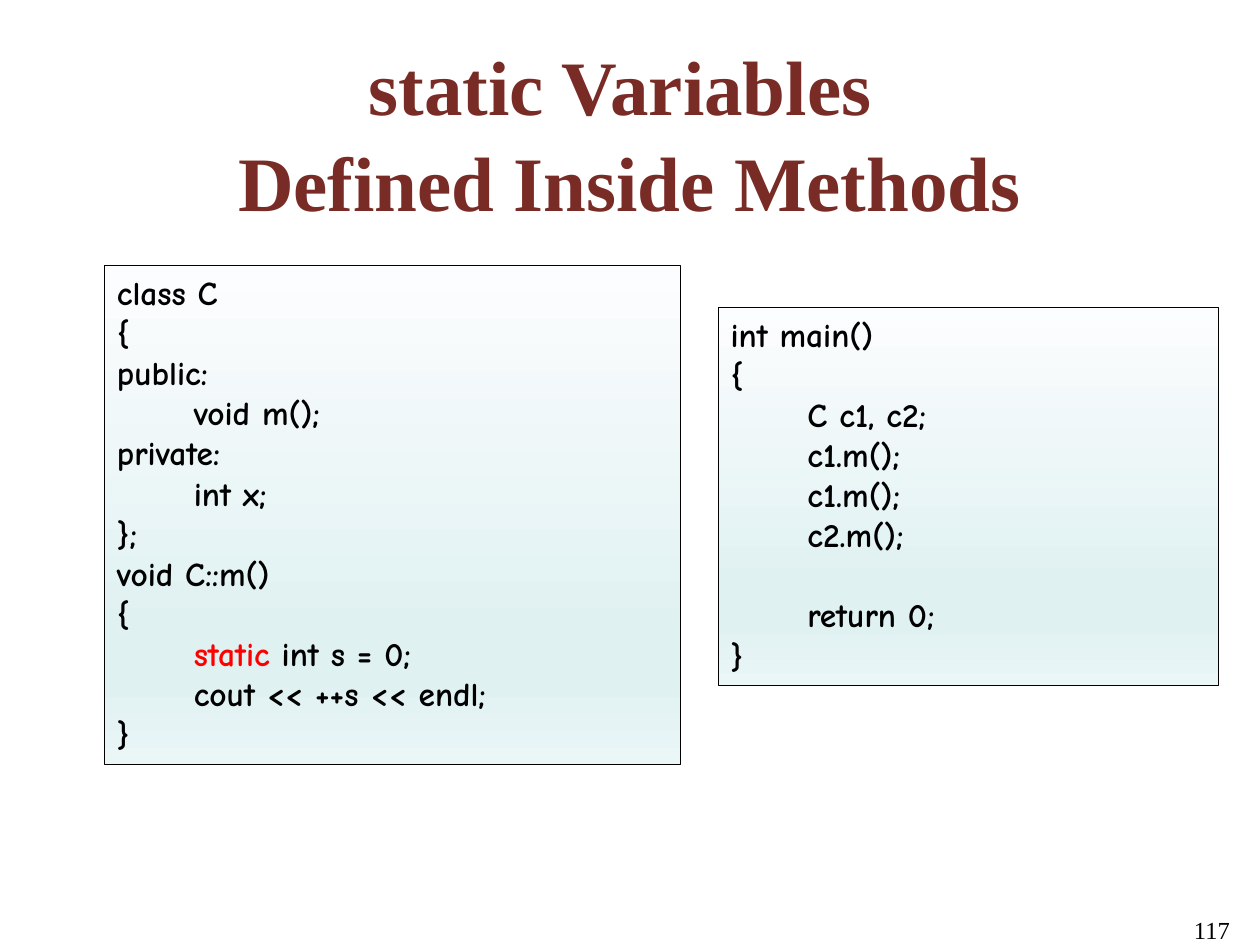
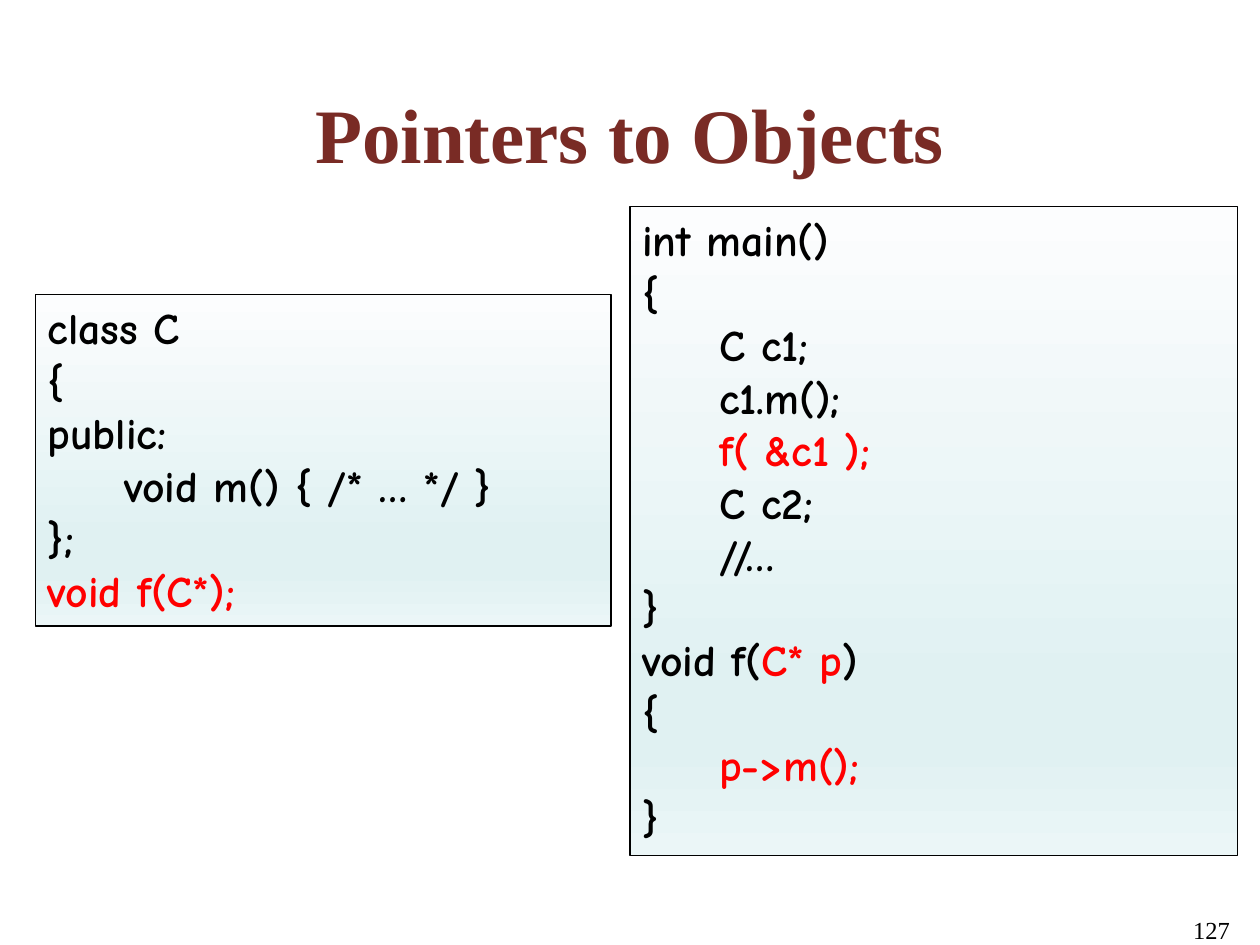
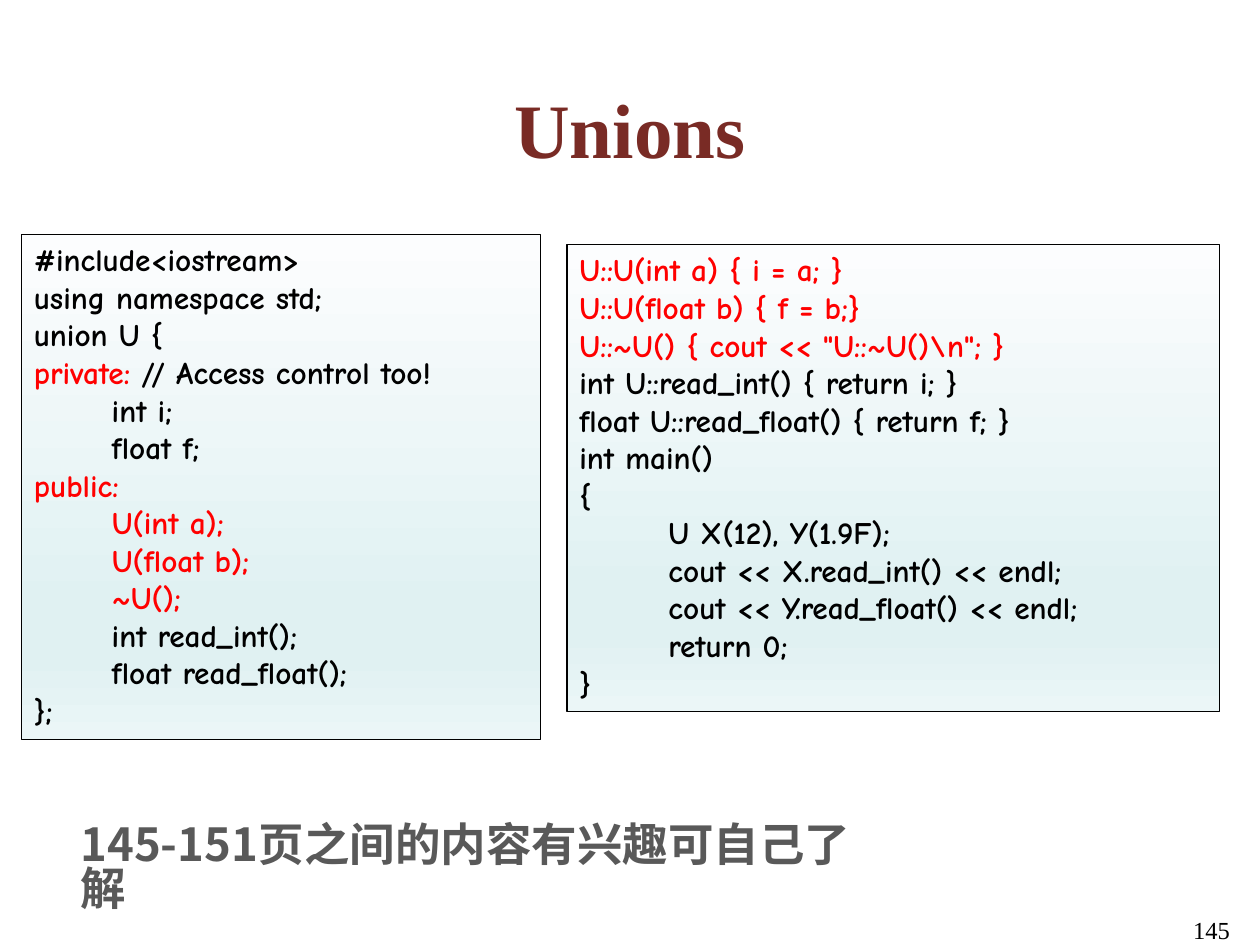
from dataclasses import dataclass

from lxml.etree import SubElement
from pptx import Presentation
from pptx.dml.color import RGBColor as Rgb
from pptx.enum.shapes import MSO_SHAPE as Shape
from pptx.enum.text import MSO_ANCHOR as Anchor, PP_ALIGN as Align
from pptx.oxml.ns import qn
from pptx.util import Inches, Pt


@dataclass(frozen=True)
class Theme:
    ink: str = "000000"
    mark: str = "FF0000"
    head: str = "792B25"
    note: str = "595959"
    fade: tuple = ((0, "FCFDFE"), (74, "E0F1F2"), (83, "E0F1F2"), (100, "EBF6F7"))
    serif: str = "Times New Roman"
    code: str = "Comic Neue"
    han: str = "Noto Sans CJK SC"
    head_size: float = 44
    note_size: float = 26
    page_size: float = 14
    tab: float = 0.61
    pitch: float = 1.2


class Deck:
    def __init__(self, theme):
        self.theme = theme
        self.prs = Presentation()
        self.prs.slide_width, self.prs.slide_height = Inches(10), Inches(7.5)
        self.slide = None

    def style(self, para, face, size, color, bold=True):
        font = para.font
        font.name, font.size, font.bold = face, Pt(size), bold
        if color:
            font.color.rgb = Rgb.from_string(color)

    def label(self, box, text, face, size, color, bold=True, align=Align.LEFT):
        frame = self.slide.shapes.add_textbox(*map(Inches, box)).text_frame
        frame.word_wrap = True
        frame.text = text
        para = frame.paragraphs[0]
        para.alignment = align
        self.style(para, face, size, color, bold)
        return frame

    def page(self, title, box, number):
        """Start a slide with its title and page number."""
        look = self.theme
        self.slide = self.prs.slides.add_slide(self.prs.slide_layouts[6])
        self.label((7.36, 7.21, 2.5, 0.52), str(number), look.serif,
                   look.page_size, look.ink, False, Align.RIGHT)
        frame = self.label(box, title, look.serif, look.head_size,
                           look.head, align=Align.CENTER)
        frame.vertical_anchor = Anchor.MIDDLE
        frame.margin_top, frame.margin_bottom = Inches(0.08), 0
        frame.paragraphs[0].line_spacing = 1.04

    def shade(self, shape):
        """Fill a shape with the theme's downward fade."""
        shape.fill.gradient()
        shape.fill.gradient_angle = 270
        stops = shape._element.spPr.find(".//" + qn("a:gsLst"))
        for old in list(stops):
            stops.remove(old)
        for pos, color in self.theme.fade:
            stop = SubElement(stops, qn("a:gs"), pos=str(pos * 1000))
            SubElement(stop, qn("a:srgbClr"), val=color)

    def code(self, box, size, text):
        """Draw a code panel; backticks enclose the marked parts."""
        look = self.theme
        panel = self.slide.shapes.add_shape(Shape.RECTANGLE, *map(Inches, box))
        panel.shadow.inherit = False
        self.shade(panel)
        panel.line.color.rgb = Rgb.from_string(look.ink)
        panel.line.width = Pt(0.75)
        frame = panel.text_frame
        frame.word_wrap = True
        frame.vertical_anchor = Anchor.TOP
        para, gap = frame.paragraphs[0], 0
        for num, line in enumerate(text.strip().split("\n")):
            if not line:
                gap += size * look.pitch
                continue
            if num:
                para = frame.add_paragraph()
            para.alignment = Align.LEFT
            if gap:
                para.space_before, gap = Pt(gap), 0
            if "\t" in line:
                tabs = SubElement(para._p.get_or_add_pPr(), qn("a:tabLst"))
                SubElement(tabs, qn("a:tab"), pos=str(Inches(look.tab)), algn="l")
            self.style(para, look.code, size, None)
            for turn, part in enumerate(line.split("`")):
                if part:
                    run = para.add_run()
                    run.text = part
                    color = look.mark if turn % 2 else look.ink
                    run.font.color.rgb = Rgb.from_string(color)

    def note(self, box, text):
        look = self.theme
        frame = self.label(box, text, look.han, look.note_size, look.note)
        frame.margin_top = Inches(0.1)
        para = frame.paragraphs[0]
        para.line_spacing = 0.82
        SubElement(para._p.pPr.find(qn("a:defRPr")), qn("a:ea"), typeface=look.han)


STATIC = """
class C
{
public:
\tvoid m();
private:
\tint x;
};
void C::m()
{
\t`static `int s = 0;
\tcout << ++s << endl;
}
"""

STATIC_MAIN = """
int main()
{
\tC c1, c2;
\tc1.m();
\tc1.m();
\tc2.m();

\treturn 0;
}
"""

POINTER = """
class C
{
public:
\tvoid m() { /* … */ }
};
`void f(C*);`
"""

POINTER_MAIN = """
int main()
{
\tC c1;
\tc1.m();
\t`f( &c1 );`
\tC c2;
\t//…
}
void f(`C* p`)
{
\t`p->m();`
}
"""

UNION = """
#include<iostream>
using namespace std;
union U {
`private:` // Access control too!
       int i;
       float f;
`public:`
       `U(int a);`
       `U(float b);`
       `~U();`
       int read_int();
       float read_float();
};
"""

UNION_MAIN = """
`U::U(int a) { i = a; }`
`U::U(float b) { f = b;}`
`U::~U() { cout << "U::~U()\\n"; }`
int U::read_int() { return i; }
float U::read_float() { return f; }
int main()
{
        U X(12), Y(1.9F);
        cout << X.read_int() << endl;
        cout << Y.read_float() << endl;
        return 0;
}
"""


def main():
    deck = Deck(Theme())

    deck.page("static Variables \vDefined Inside Methods", (0.33, 0.29, 9.34, 1.42), 117)
    deck.code((0.83, 2.11, 4.57, 3.96), 19.1, STATIC)
    deck.code((5.7, 2.44, 3.97, 3), 19.1, STATIC_MAIN)

    deck.page("Pointers to Objects", (0.33, 0.62, 9.34, 0.76), 127)
    deck.code((0.28, 2.34, 4.57, 2.63), 25, POINTER)
    deck.code((5, 1.64, 4.82, 5.15), 25, POINTER_MAIN)

    deck.page("Unions", (0.5, 0.42, 9, 1.08), 145)
    deck.code((0.17, 1.86, 4.12, 4.01), 17.9, UNION)
    deck.code((4.5, 1.94, 5.18, 3.71), 17.9, UNION_MAIN)
    deck.note((0.54, 6.45, 6.45, 0.54), "145-151页之间的内容有兴趣可自己了解")

    deck.prs.save("out.pptx")


if __name__ == "__main__":
    main()
